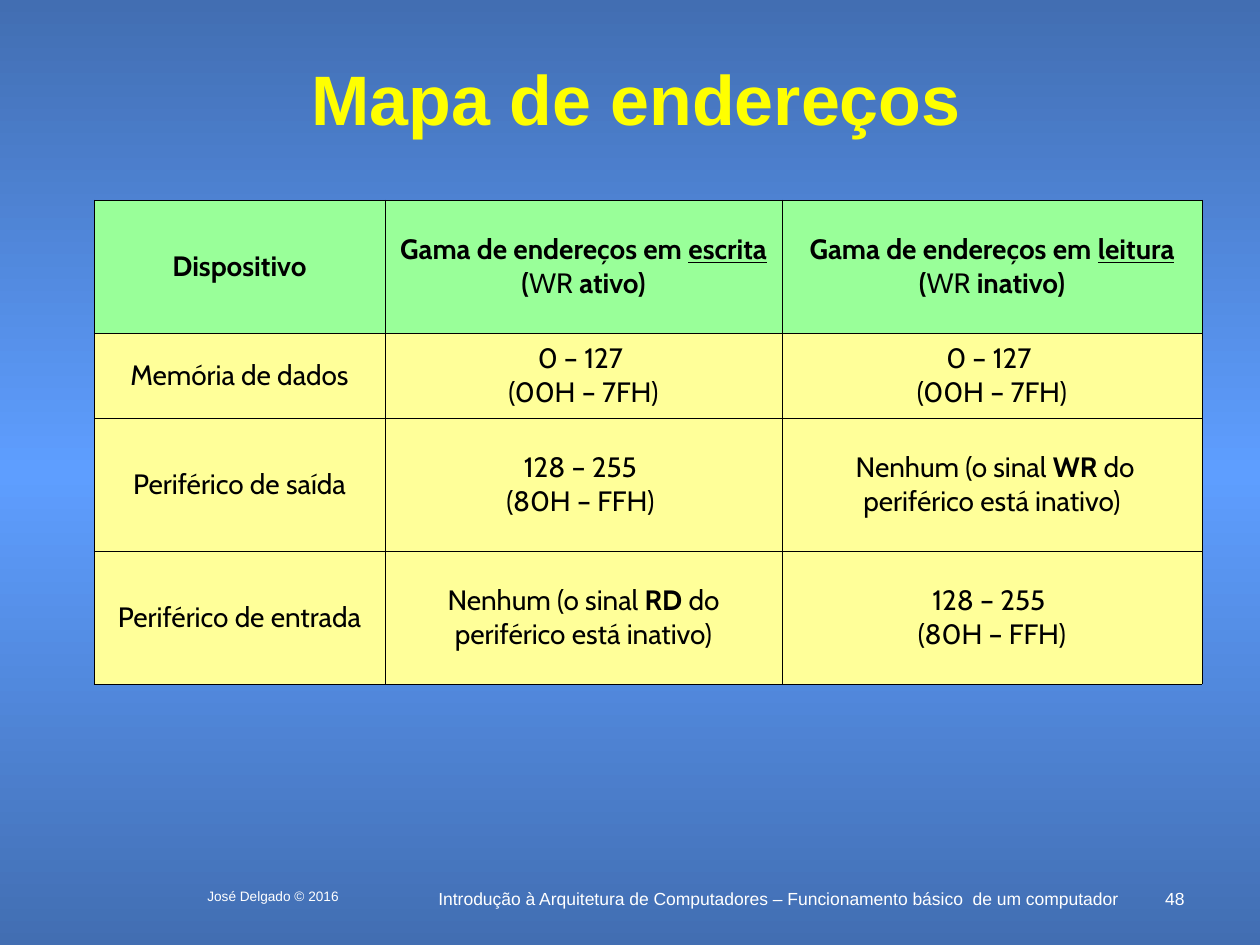
from copy import deepcopy
from dataclasses import dataclass

from lxml.etree import SubElement
from pptx import Presentation
from pptx.dml.color import RGBColor
from pptx.enum.text import MSO_ANCHOR, PP_ALIGN
from pptx.oxml.ns import qn
from pptx.slide import Slide
from pptx.table import _Cell
from pptx.text.text import _Paragraph
from pptx.util import Emu, Pt

PX_PER_INCH = 126
COLORS = {
    "edge": "426EB2",
    "glow": "5E9EFF",
    "title": "FFFF00",
    "footer": "FFFFFF",
    "header": "99FF99",
    "body": "FFFF99",
    "ink": "000000",
}
HANGING = 48
COLUMN_WIDTHS = [291, 397, 420]
ROW_HEIGHTS = [133, 85, 133, 133]


@dataclass(frozen=True)
class Span:
    text: str
    bold: bool | None = None
    underline: bool | None = None


@dataclass(frozen=True)
class Label:
    text: str
    left: int
    top: int
    width: int
    height: int
    size: float
    color: str = "footer"
    align: PP_ALIGN = PP_ALIGN.CENTER
    bold: bool = False
    anchor: MSO_ANCHOR = MSO_ANCHOR.TOP
    line_spacing: float | None = None


@dataclass(frozen=True)
class Entry:
    lines: list[list[Span]]
    hanging: bool = False
    header: bool = False


def px(length: int) -> Emu:
    return Emu(round(length * 914400 / PX_PER_INCH))


def rgb(color: str) -> RGBColor:
    return RGBColor.from_string(COLORS[color])


def plain(*lines: str, hanging: bool = True) -> Entry:
    return Entry([[Span(line)] for line in lines], hanging)


def heading(mode: str, state: str) -> Entry:
    spans = [
        Span("Gama de endereços em "),
        Span(mode, underline=True),
        Span(" ("),
        Span("WR", bold=False),
        Span(f" {state})"),
    ]
    return Entry([spans], header=True)


def unmapped(signal: str, lead: str = "") -> Entry:
    spans = [
        Span(f"{lead}Nenhum (o sinal "),
        Span(signal, bold=True),
        Span(" do periférico está inativo)"),
    ]
    return Entry([spans])


LABELS = [
    Label("Introdução à Arquitetura de Computadores – Funcionamento básico  de um computador",
          426, 882, 704, 32, 10),
    Label("48", 1144, 882, 53, 21, 10, align=PP_ALIGN.RIGHT),
    Label("Mapa de endereços", 66, 63, 1140, 84, 40, "title", bold=True,
          anchor=MSO_ANCHOR.MIDDLE, line_spacing=0.8),
    Label("José Delgado © 2016", 168, 882, 210, 32, 7.8),
]

ADDRESS_MAP = [
    [Entry([[Span("Dispositivo")]], header=True),
     heading("escrita", "ativo"), heading("leitura", "inativo")],
    [plain("Memória de dados"),
     plain("0 – 127 ", "(00H – 7FH)"), plain("0 – 127 ", "(00H – 7FH)")],
    [plain("Periférico de saída"),
     plain("128 – 255 ", "(80H – FFH) "), unmapped("WR", " ")],
    [plain("Periférico de entrada", hanging=False),
     unmapped("RD"), plain("128 – 255 ", "(80H – FFH)")],
]


def set_font(paragraph: _Paragraph, name: str, size: float, color: str, bold: bool) -> None:
    font = paragraph.font
    font.name, font.size, font.bold = name, Pt(size), bold
    font.color.rgb = rgb(color)


def paint_background(slide: Slide) -> None:
    fill = slide.background.fill
    fill.gradient()
    fill.gradient_angle = 90
    stop_list = slide.element.find(".//" + qn("a:gsLst"))
    stop_list.append(deepcopy(stop_list[0]))
    for index, (stop, color) in enumerate(zip(fill.gradient_stops, ("edge", "glow", "edge"))):
        stop.position = index / 2
        stop.color.rgb = rgb(color)


def add_label(slide: Slide, label: Label) -> None:
    box = slide.shapes.add_textbox(
        px(label.left), px(label.top), px(label.width), px(label.height))
    frame = box.text_frame
    frame.word_wrap = True
    frame.vertical_anchor = label.anchor
    paragraph = frame.paragraphs[0]
    paragraph.text = label.text
    paragraph.alignment = label.align
    paragraph.line_spacing = label.line_spacing
    set_font(paragraph, "Arial", label.size, label.color, label.bold)


def add_borders(cell: _Cell) -> None:
    properties = cell._tc.get_or_add_tcPr()
    for index, side in enumerate(("lnL", "lnR", "lnT", "lnB")):
        line = SubElement(properties, qn(f"a:{side}"), w=str(Pt(0.34)))
        solid = SubElement(line, qn("a:solidFill"))
        SubElement(solid, qn("a:srgbClr"), val=COLORS["ink"])
        properties.insert(index, line)


def fill_cell(cell: _Cell, entry: Entry) -> None:
    cell.fill.solid()
    cell.fill.fore_color.rgb = rgb("header" if entry.header else "body")
    cell.vertical_anchor = MSO_ANCHOR.MIDDLE
    add_borders(cell)
    frame = cell.text_frame
    for index, spans in enumerate(entry.lines):
        paragraph = frame.add_paragraph() if index else frame.paragraphs[0]
        paragraph.alignment = PP_ALIGN.CENTER
        if entry.hanging:
            properties = paragraph._p.get_or_add_pPr()
            properties.set("marL", str(px(HANGING)))
            properties.set("indent", str(-px(HANGING)))
        set_font(paragraph, "Cabin", 16, "ink", entry.header)
        for span in spans:
            run = paragraph.add_run()
            run.text = span.text
            run.font.bold = span.bold
            run.font.underline = span.underline


def add_address_map(slide: Slide) -> None:
    table = slide.shapes.add_table(
        len(ROW_HEIGHTS), len(COLUMN_WIDTHS), px(94), px(200),
        px(sum(COLUMN_WIDTHS)), px(sum(ROW_HEIGHTS))).table
    table.first_row = table.horz_banding = False
    for column, width in zip(table.columns, COLUMN_WIDTHS):
        column.width = px(width)
    for row, height, entries in zip(table.rows, ROW_HEIGHTS, ADDRESS_MAP):
        row.height = px(height)
        for cell, entry in zip(row.cells, entries):
            fill_cell(cell, entry)


def main() -> None:
    presentation = Presentation()
    presentation.slide_width, presentation.slide_height = px(1260), px(945)
    slide = presentation.slides.add_slide(presentation.slide_layouts[6])
    paint_background(slide)
    for label in LABELS:
        add_label(slide, label)
    add_address_map(slide)
    presentation.save("out.pptx")


if __name__ == "__main__":
    main()
